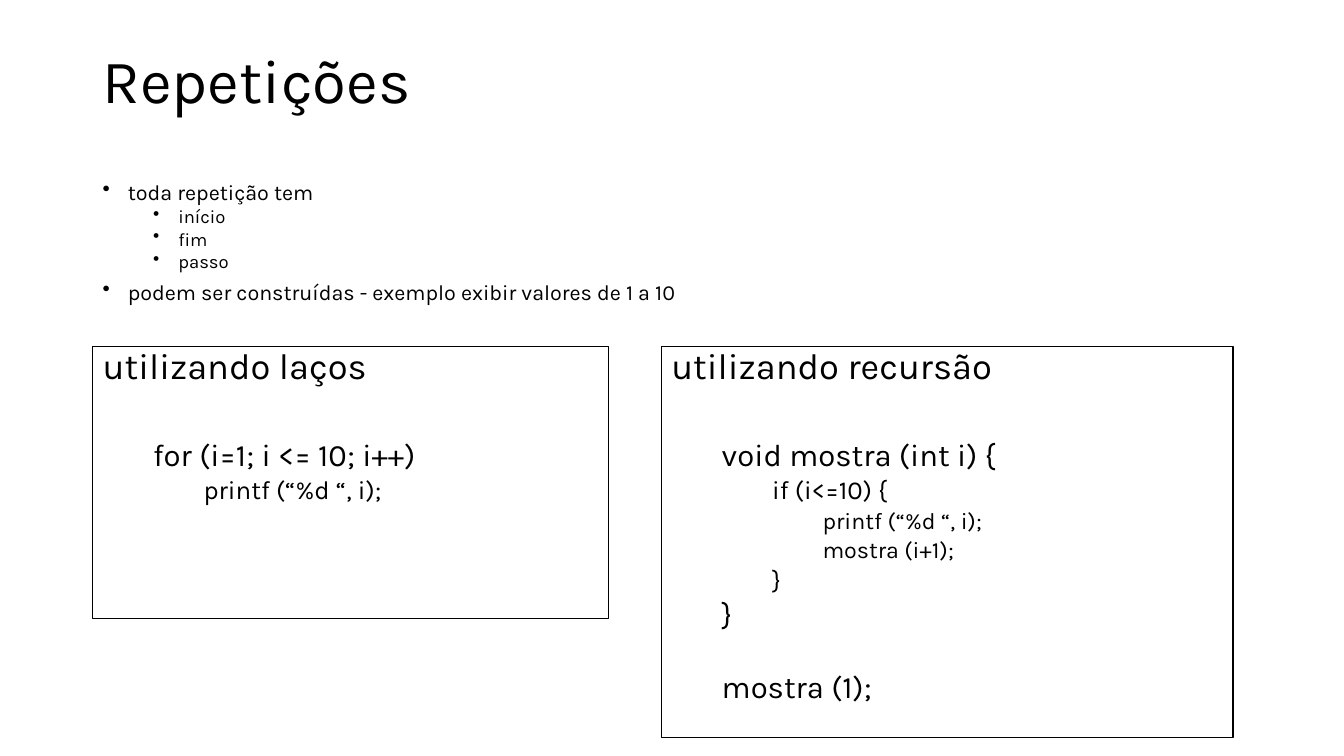
import pptx
import pptx.util
from lxml import etree
from pptx.dml.color import RGBColor
from pptx.enum.shapes import MSO_SHAPE
from pptx.enum.text import MSO_ANCHOR, PP_ALIGN
from pptx.oxml.ns import qn
from pptx.util import Inches, Pt

BLACK = RGBColor(0, 0, 0)
WHITE = RGBColor(255, 255, 255)
FONT = "Karla"
LEFT = 0.92
PANEL_TOP = 3.44
INDENT = 0.5
HANGING = 0.25
CODE_SIZES = [25.9, 22.2, 18.5, 16.6]
BULLET_SIZES = [15.4, 13.2]

# Each line is (indent level, text, space before in points).
BULLETS = [
    (0, "toda repetição tem", 0),
    (1, "início", 5),
    (1, "fim", 5),
    (1, "passo", 5),
    (0, "podem ser construídas - exemplo exibir valores de 1 a 10", 10),
]
LOOP_CODE = [
    (0, "utilizando laços", 0),
    (1, "for (i=1; i <= 10; i++)", 40),
    (2, "printf (“%d “, i);", 5),
]
RECURSION_CODE = [
    (0, "utilizando recursão", 0),
    (1, "void mostra (int i) {", 40),
    (2, "if (i<=10) {", 5),
    (3, "printf (“%d “, i);", 5),
    (3, "mostra (i+1);", 5),
    (2, "}", 5),
    (1, "}", 5),
    (1, "mostra (1);", 31),
]


def write_lines(frame, lines, sizes, line_spacing, bullet=None):
    """Fill a text frame with levelled lines, optionally bulleted."""
    frame.word_wrap = True
    hanging = HANGING if bullet else 0
    for index, (level, text, space_before) in enumerate(lines):
        para = frame.paragraphs[0] if index == 0 else frame.add_paragraph()
        para.text = text
        para.level = level
        para.alignment = PP_ALIGN.LEFT
        para.line_spacing = line_spacing
        para.space_before = Pt(space_before)
        para.font.name = FONT
        para.font.size = Pt(sizes[level])
        para.font.color.rgb = BLACK
        properties = para._p.get_or_add_pPr()
        properties.set("marL", str(Inches(level * INDENT + hanging)))
        properties.set("indent", str(-Inches(hanging)))
        if bullet:
            # Bullet elements must come before the default run properties.
            mark = etree.Element(qn("a:buChar"), char=bullet)
            defaults = properties.find(qn("a:defRPr"))
            if defaults is None:
                properties.append(mark)
            else:
                defaults.addprevious(mark)


def add_title(page, box, text):
    frame = page.shapes.add_textbox(*map(Inches, box)).text_frame
    frame.vertical_anchor = MSO_ANCHOR.MIDDLE
    write_lines(frame, [(0, text, 0)], [44], 0.9)


def add_bullets(page, box, lines):
    frame = page.shapes.add_textbox(*map(Inches, box)).text_frame
    write_lines(frame, lines, BULLET_SIZES, 0.7, "•")


def add_code_panel(page, box, lines):
    panel = page.shapes.add_shape(MSO_SHAPE.RECTANGLE, *map(Inches, box))
    panel.shadow.inherit = False
    panel.fill.background()
    panel.line.color.rgb = BLACK
    panel.line.width = Pt(0.75)
    panel.text_frame.vertical_anchor = MSO_ANCHOR.TOP
    write_lines(panel.text_frame, lines, CODE_SIZES, 0.8)


def main():
    deck = pptx.Presentation()
    deck.slide_width = Inches(13.33)
    deck.slide_height = Inches(7.5)
    page = deck.slides.add_slide(deck.slide_layouts[6])
    page.background.fill.solid()
    page.background.fill.fore_color.rgb = WHITE

    add_title(page, (LEFT, 0.16, 11.5, 1.34), "Repetições")
    add_code_panel(page, (LEFT, PANEL_TOP, 5.12, 2.7), LOOP_CODE)
    add_code_panel(page, (6.56, PANEL_TOP, 5.67, 3.88), RECURSION_CODE)
    add_bullets(page, (LEFT, 1.8, 11.31, 1.34), BULLETS)
    deck.save("out.pptx")


if __name__ == "__main__":
    main()
